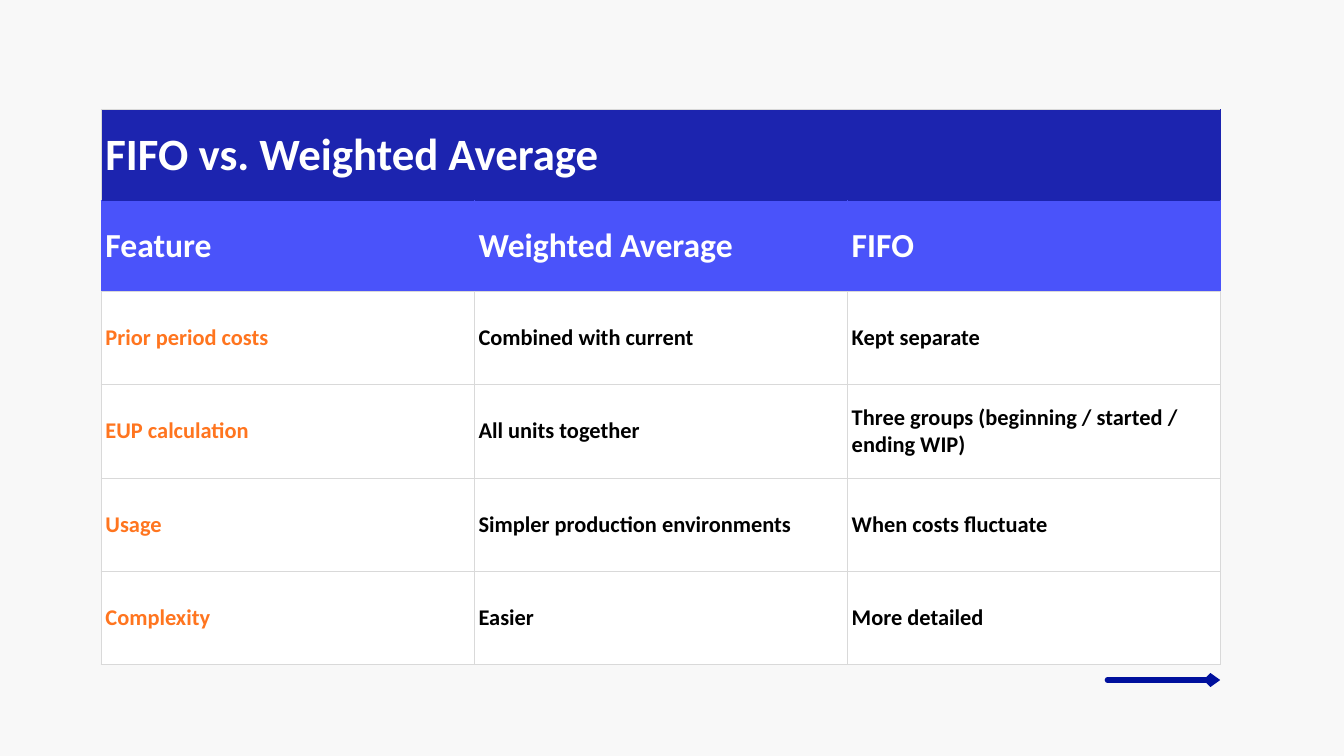
"""Build a slide with a FIFO versus weighted average comparison table."""
from dataclasses import dataclass

import pptx
import pptx.dml.color
import pptx.enum.shapes
import pptx.enum.text
import pptx.oxml
import pptx.oxml.ns
import pptx.shapes.shapetree
import pptx.slide
import pptx.table
import pptx.util
from lxml import etree

Pt = pptx.util.Pt
RGBColor = pptx.dml.color.RGBColor
qn = pptx.oxml.ns.qn

PAGE_GREY = RGBColor(0xF8, 0xF8, 0xF8)
GRID_GREY = RGBColor(0xD9, 0xD9, 0xD9)
NAVY = RGBColor(0x1C, 0x24, 0xAF)
BLUE = RGBColor(0x4A, 0x53, 0xFA)
ARROW_BLUE = RGBColor(0x00, 0x10, 0x9D)
ORANGE = RGBColor(0xFF, 0x75, 0x1F)
WHITE = RGBColor(0xFF, 0xFF, 0xFF)
BLACK = RGBColor(0x00, 0x00, 0x00)

LEFT, TOP = 108, 117.4
COLUMN_WIDTH = 399.8
HEADING_HEIGHT, BODY_HEIGHT = 97.2, 100.1
ARROW_LEFT, ARROW_RIGHT, ARROW_Y = 1186.6, 1307.4, 728.6

TITLE = "FIFO vs. Weighted Average"
HEADINGS = ("Feature", "Weighted Average", "FIFO")
COMPARISONS = (
    ("Prior period costs", "Combined with current", "Kept separate"),
    ("EUP calculation", "All units together", "Three groups (beginning / started / ending WIP)"),
    ("Usage", "Simpler production environments", "When costs fluctuate"),
    ("Complexity", "Easier", "More detailed"),
)


@dataclass(frozen=True)
class CellStyle:
    """Look of a cell, with border colours for left, right, top and bottom."""

    size: int
    color: RGBColor
    fill: RGBColor
    borders: tuple[RGBColor, RGBColor, RGBColor, RGBColor] = (GRID_GREY,) * 4


TITLE_STYLE = CellStyle(48, WHITE, NAVY, (GRID_GREY, NAVY, GRID_GREY, NAVY))
HEADING_STYLE = CellStyle(36, WHITE, BLUE, (BLUE, BLUE, NAVY, GRID_GREY))
FEATURE_STYLE = CellStyle(24, ORANGE, WHITE)
DETAIL_STYLE = CellStyle(24, BLACK, WHITE)


def format_cell(cell: pptx.table._Cell, text: str, style: CellStyle) -> None:
    """Fill a cell with text and apply its style."""
    properties = cell._tc.get_or_add_tcPr()
    for side, color in zip("LRTB", style.borders):
        border = etree.SubElement(properties, qn(f"a:ln{side}"), w=str(Pt(0.6)))
        fill = etree.SubElement(border, qn("a:solidFill"))
        etree.SubElement(fill, qn("a:srgbClr"), val=str(color))
    cell.fill.solid()
    cell.fill.fore_color.rgb = style.fill
    cell.margin_left = cell.margin_right = Pt(5)
    cell.margin_top = cell.margin_bottom = Pt(3)
    cell.vertical_anchor = pptx.enum.text.MSO_ANCHOR.MIDDLE
    cell.text = text
    font = cell.text_frame.paragraphs[0].font
    font.name, font.size, font.bold = "Calibri", Pt(style.size), True
    font.color.rgb = style.color


def add_comparison_table(shapes: pptx.shapes.shapetree.SlideShapes) -> None:
    """Add the table with its title row, headings and comparisons."""
    texts = ((TITLE, "", ""), HEADINGS, *COMPARISONS)
    heights = [HEADING_HEIGHT] * 2 + [BODY_HEIGHT] * len(COMPARISONS)
    table = shapes.add_table(
        len(texts), len(HEADINGS), Pt(LEFT), Pt(TOP),
        Pt(COLUMN_WIDTH * len(HEADINGS)), Pt(sum(heights)),
    ).table
    table.first_row = table.horz_banding = False
    for column in table.columns:
        column.width = Pt(COLUMN_WIDTH)
    table.cell(0, 0).merge(table.cell(0, len(HEADINGS) - 1))
    body_styles = (FEATURE_STYLE, DETAIL_STYLE, DETAIL_STYLE)
    row_styles = [(TITLE_STYLE,) * 3, (HEADING_STYLE,) * 3] + [body_styles] * len(COMPARISONS)
    for row, height, row_texts, styles in zip(table.rows, heights, texts, row_styles):
        row.height = Pt(height)
        for cell, text, style in zip(row.cells, row_texts, styles):
            format_cell(cell, text, style)


def add_arrow(shapes: pptx.shapes.shapetree.SlideShapes) -> None:
    """Add the arrow that points onward below the table."""
    arrow = shapes.add_connector(
        pptx.enum.shapes.MSO_CONNECTOR.STRAIGHT,
        Pt(ARROW_LEFT), Pt(ARROW_Y), Pt(ARROW_RIGHT), Pt(ARROW_Y),
    )
    arrow.line.color.rgb = ARROW_BLUE
    arrow.line.width = Pt(6)
    line = arrow.line._get_or_add_ln()
    line.set("cap", "rnd")
    etree.SubElement(line, qn("a:tailEnd"), type="arrow", w="sm", len="sm")
    etree.SubElement(arrow._element.spPr, qn("a:effectLst"))


def main() -> None:
    """Create the deck and save it."""
    deck = pptx.Presentation()
    deck.slide_width, deck.slide_height = Pt(1440), Pt(810)
    page = deck.slides.add_slide(deck.slide_layouts[6])
    page.background.fill.solid()
    page.background.fill.fore_color.rgb = PAGE_GREY
    add_arrow(page.shapes)
    add_comparison_table(page.shapes)
    deck.save("out.pptx")


if __name__ == "__main__":
    main()
